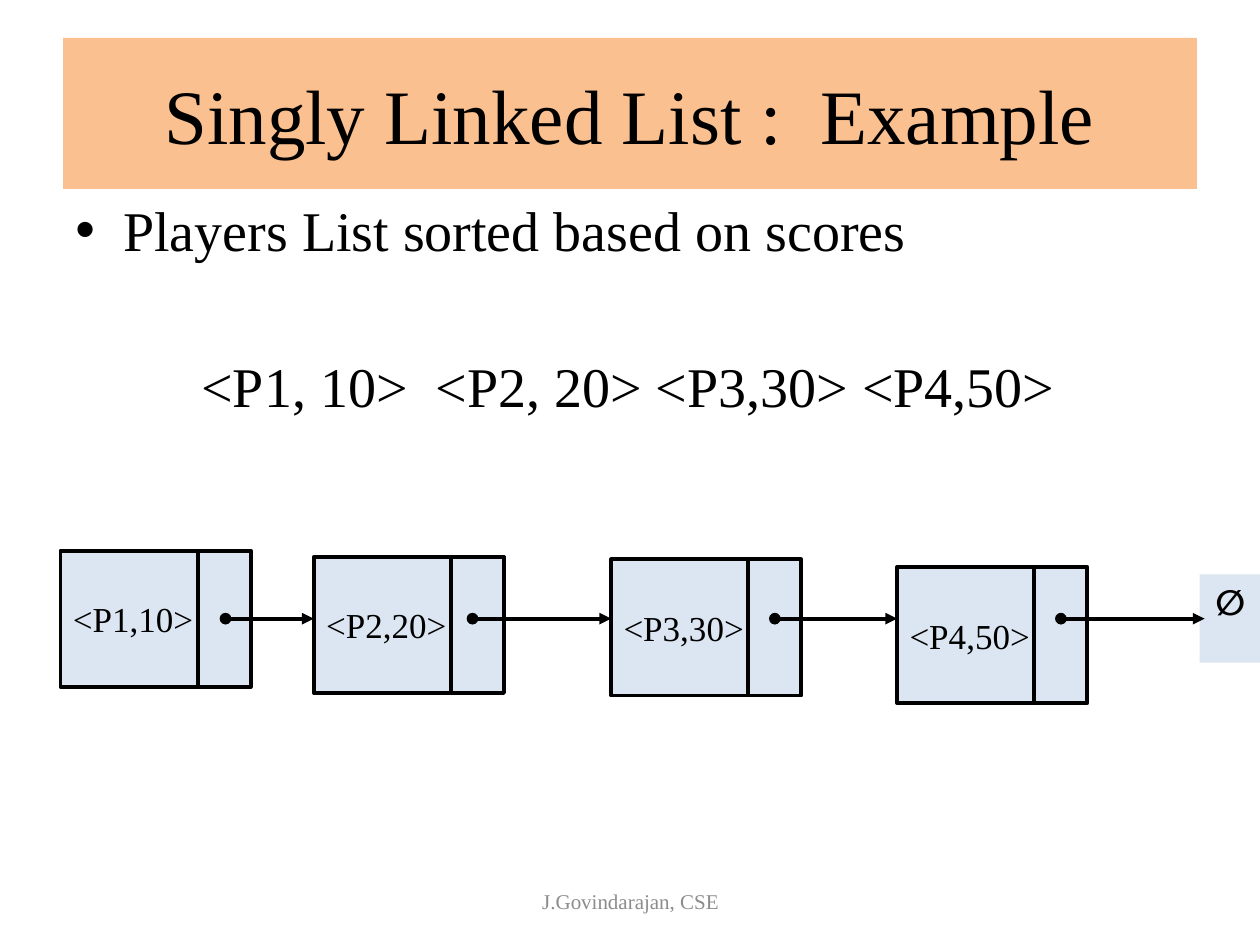
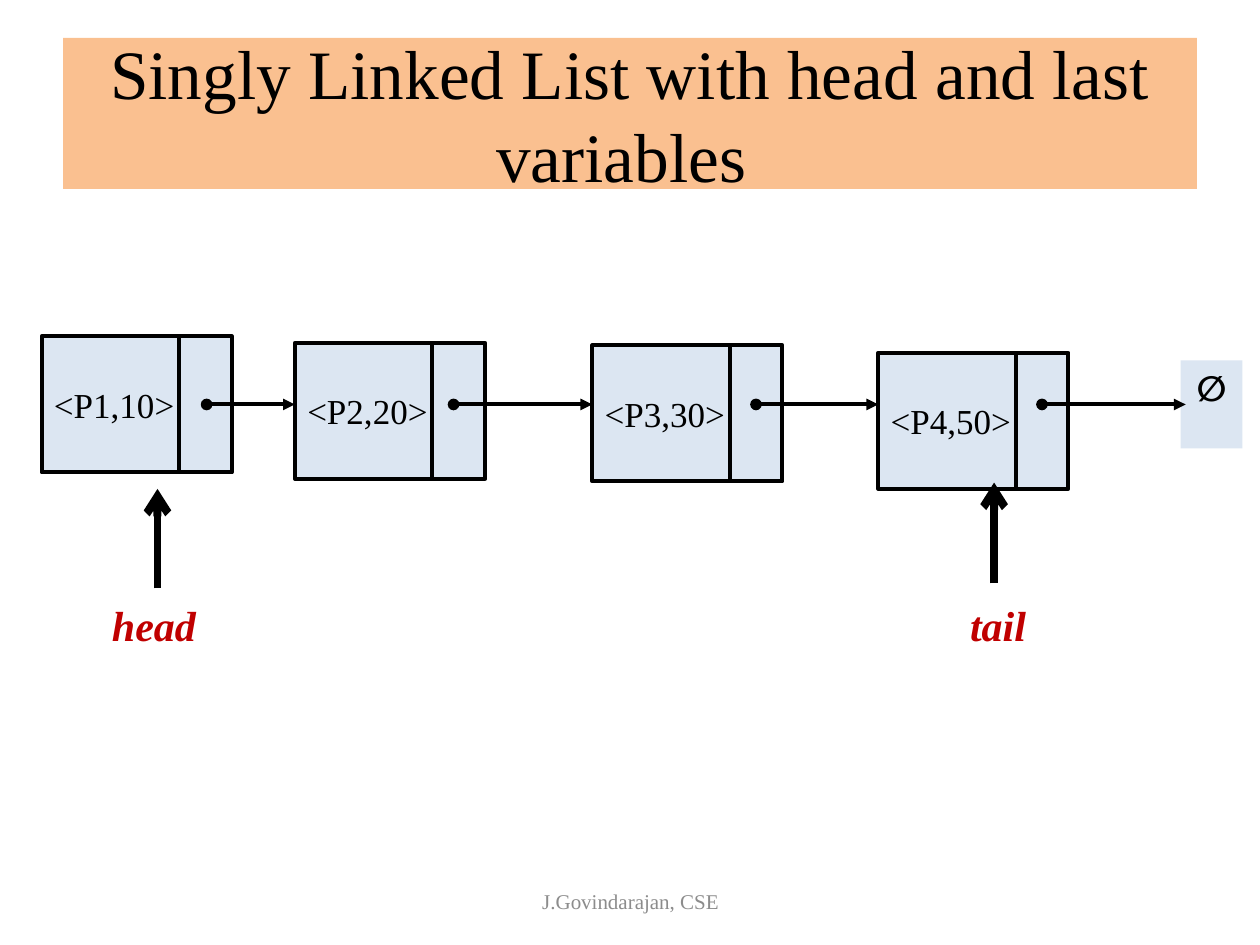
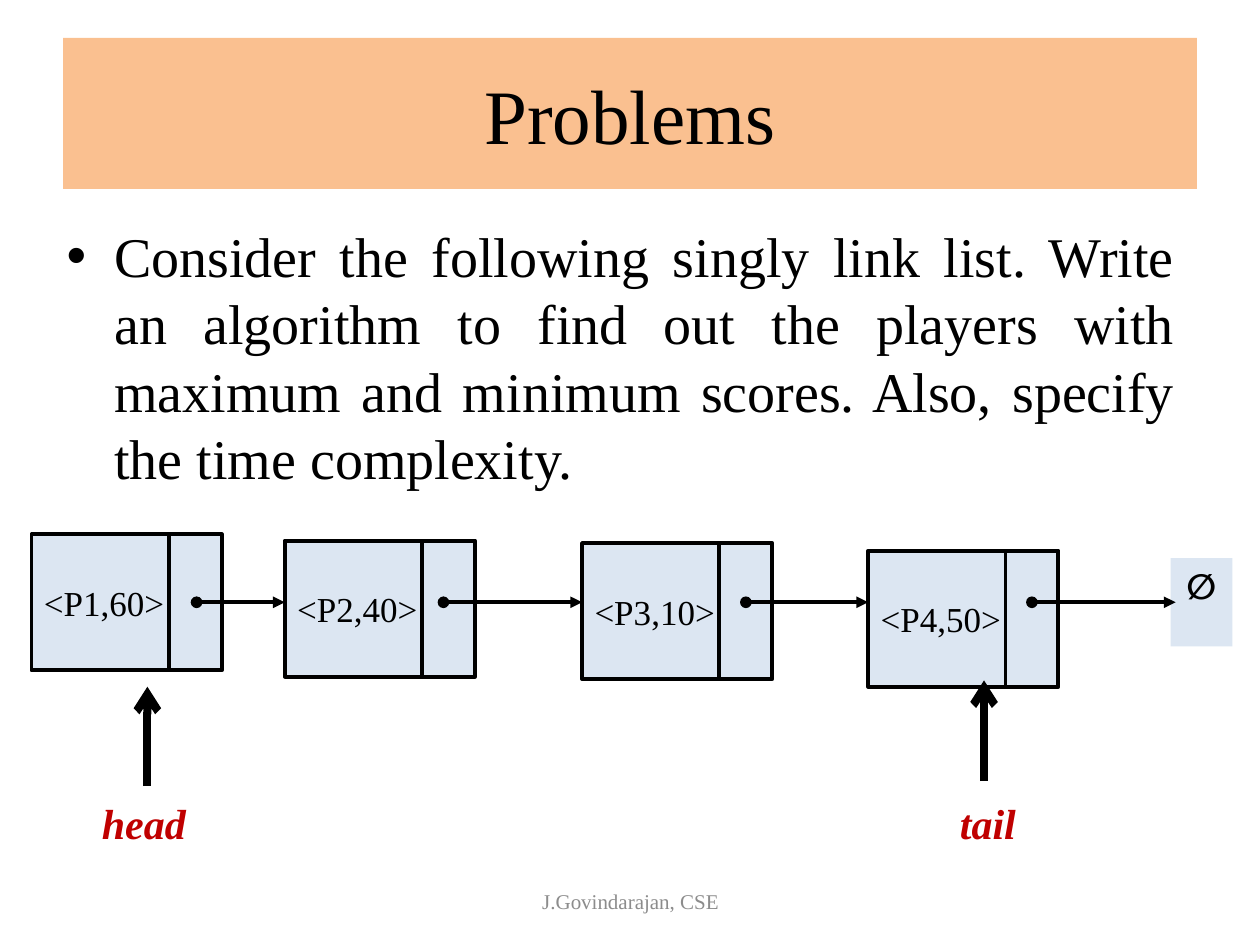
from dataclasses import dataclass

from lxml import etree
from pptx import Presentation
from pptx.dml.color import RGBColor
from pptx.enum import shapes, text
from pptx.oxml import ns
from pptx.util import Inches, Pt


@dataclass(frozen=True)
class Theme:
    serif: str = "Times New Roman"
    sans: str = "Calibri"
    ink: str = "000000"
    band: str = "FAC090"
    cell: str = "DCE6F2"
    mark: str = "C00000"
    grey: str = "8C8C8C"
    title: float = 44
    tight: float = 39.6
    body: float = 32
    label: float = 24
    node: float = 20
    foot: float = 12


T = Theme()
MID, TOP = text.MSO_ANCHOR.MIDDLE, text.MSO_ANCHOR.TOP
LEFT, CENTER, FULL = (text.PP_ALIGN.LEFT, text.PP_ALIGN.CENTER,
                      text.PP_ALIGN.JUSTIFY)

# Chain geometry, relative to its top left corner
NODES = [(0, 0, 1.31), (2.01, 0.05, 1.26), (4.37, 0.07, 1.3), (6.64, 0.13, 1.3)]
DATA, LINK, TALL = 1.09, 0.42, 1.08
WIRE = 0.54
NULL = (9.04, 0.19, 0.49, 0.7)
# Name, label left, label width, arrow x, arrow foot, arrow tip
MARKS = [("head", 0.46, 0.88, 0.92, 2.0, 1.21),
         ("tail", 7.27, 0.65, 7.56, 1.96, 1.16)]


def rgb(code):
    return RGBColor.from_string(code)


def sub(parent, tag, **attrs):
    return etree.SubElement(parent, ns.qn(tag), attrs)


def style(para, size, face=T.serif, color=T.ink, align=LEFT, **extra):
    para.alignment = align
    look = {"name": face, "size": Pt(size), "bold": False, **extra}
    for key, val in look.items():
        setattr(para.font, key, val)
    para.font.color.rgb = rgb(color)


def write(shape, words, size, anchor=TOP, wrap=True, **look):
    frame = shape.text_frame
    form = {"word_wrap": wrap, "vertical_anchor": anchor,
            "auto_size": text.MSO_AUTO_SIZE.NONE}
    for key, val in form.items():
        setattr(frame, key, val)
    frame.text = words
    style(frame.paragraphs[0], size, **look)
    return frame


def place(shape, x, y, w, h):
    for key, val in zip(("left", "top", "width", "height"), (x, y, w, h)):
        setattr(shape, key, Inches(val))


def note(slide, box, words, size, **look):
    area = slide.shapes.add_textbox(*map(Inches, box))
    return write(area, words, size, **look)


def block(slide, box, edge=True):
    rect = slide.shapes.add_shape(shapes.MSO_SHAPE.RECTANGLE, *map(Inches, box))
    rect.shadow.inherit = False
    rect.fill.solid()
    rect.fill.fore_color.rgb = rgb(T.cell)
    if edge:
        rect.line.color.rgb = rgb(T.ink)
        rect.line.width = Pt(2.25)
    else:
        rect.line.fill.background()
    return rect


def arrow(slide, start, end, width, tip, tail=None):
    wire = slide.shapes.add_connector(
        shapes.MSO_CONNECTOR.STRAIGHT, *map(Inches, (*start, *end)))
    wire.line.color.rgb = rgb(T.ink)
    wire.line.width = Pt(width)
    line = wire.line._get_or_add_ln()
    if tail:
        sub(line, "a:headEnd", type=tail)
    sub(line, "a:tailEnd", type=tip)
    sub(wire._element.spPr, "a:effectLst")


def bullet(para):
    props = para._p.get_or_add_pPr()
    props.set("marL", str(Inches(0.38)))
    props.set("indent", str(-Inches(0.38)))
    sub(props, "a:buFont", typeface="Arial")
    sub(props, "a:buChar", char="•")


def page(deck, title, size=T.title):
    """Title band and footer shared by all slides."""
    slide = deck.slides.add_slide(deck.slide_layouts[5])
    head = slide.shapes.title
    place(head, 0.5, 0.3, 9, 1.2)
    head.fill.solid()
    head.fill.fore_color.rgb = rgb(T.band)
    write(head, title, size, anchor=MID, align=CENTER)
    note(slide, (3.42, 6.95, 3.17, 0.4), "J.Govindarajan, CSE", T.foot,
         anchor=MID, align=CENTER, color=T.grey)
    return slide


def point(slide, box, words, align=LEFT):
    frame = note(slide, box, "", T.body)
    para = frame.paragraphs[0]
    bullet(para)
    para.text = words
    style(para, T.body, align=align)
    return frame


def chain(slide, x, y, scores):
    """Linked nodes, closed by the null cell."""
    for num, ((dx, dy, _), score) in enumerate(zip(NODES, scores), 1):
        data = block(slide, (x + dx, y + dy, DATA, TALL))
        write(data, f"<P{num},{score}>", T.node, anchor=MID, wrap=False)
        block(slide, (x + dx + DATA, y + dy, LINK, TALL))
    dx, dy, w, h = NULL
    null = block(slide, (x + dx, y + dy, w, h), edge=False)
    write(null, "∅", T.node, wrap=False, face=T.sans, align=CENTER, bold=True)
    # Links run from each pointer cell to the next node
    ends = [node[0] for node in NODES[1:]] + [dx + 0.04]
    for (left, _, pin), end in zip(NODES, ends):
        arrow(slide, (x + left + pin, y + WIRE), (x + end, y + WIRE),
              2.25, "triangle", "oval")


def marks(slide, x, y):
    """Head and tail pointers under the chain."""
    for name, left, wide, mid, foot, tip in MARKS:
        note(slide, (x + left, y + 2.04, wide, 0.5), name, T.label,
             wrap=False, color=T.mark, bold=True, italic=True)
        arrow(slide, (x + mid, y + foot), (x + mid, y + tip), 4.5, "arrow")


def main():
    deck = Presentation()
    deck.slide_width, deck.slide_height = Inches(10), Inches(7.5)

    # Example
    slide = page(deck, "Singly Linked List :  Example")
    frame = point(slide, (0.5, 1.5, 9, 5.2), "Players List sorted based on scores")
    pairs = frame.add_paragraph()
    pairs._p.get_or_add_pPr().set("marL", str(Inches(1)))
    pairs.text = "<P1, 10>  <P2, 20> <P3,30> <P4,50>"
    pairs.space_before = Pt(51)
    style(pairs, T.body)
    chain(slide, 0.48, 4.37, (10, 20, 30, 50))

    # Head and last variables
    slide = page(deck, "Singly Linked List with head and last variables ", T.tight)
    chain(slide, 0.33, 2.67, (10, 20, 30, 50))
    marks(slide, 0.33, 2.67)

    # Problems
    slide = page(deck, "Problems")
    point(slide, (0.43, 1.71, 9, 4.53),
          "Consider the following singly link list. Write an algorithm to find "
          "out the players with maximum and minimum scores. Also, specify the "
          "time complexity.", FULL)
    chain(slide, 0.25, 4.24, (60, 40, 10, 50))
    marks(slide, 0.25, 4.24)

    deck.save("out.pptx")


if __name__ == "__main__":
    main()
